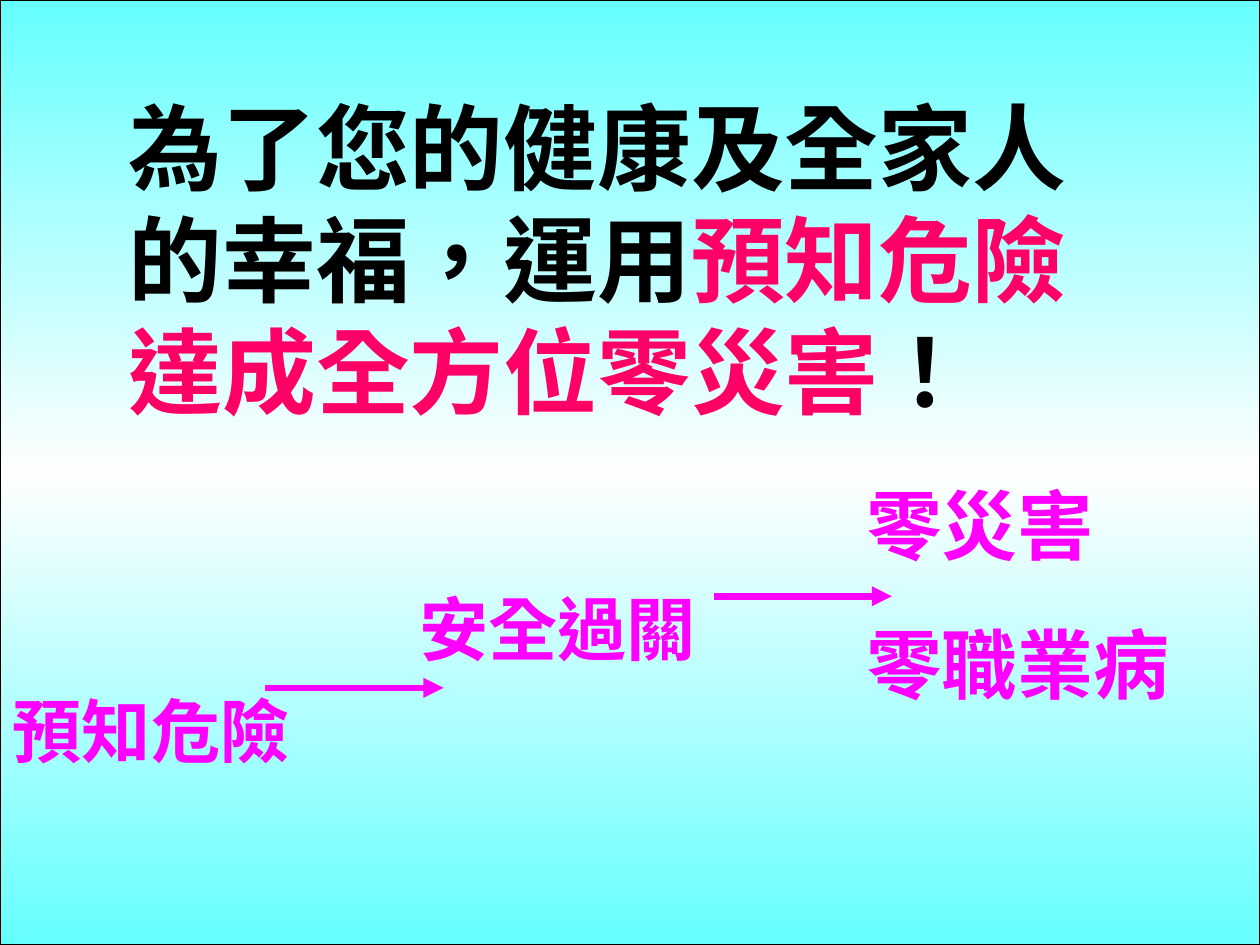
import copy

import pptx
import pptx.dml.color
import pptx.enum.shapes
import pptx.enum.text
import pptx.oxml.ns
import pptx.util
from lxml import etree

BLACK = pptx.dml.color.RGBColor(0x00, 0x00, 0x00)
CRIMSON = pptx.dml.color.RGBColor(0xFF, 0x00, 0x66)
MAGENTA = pptx.dml.color.RGBColor(0xFF, 0x00, 0xFF)
AQUA = pptx.dml.color.RGBColor(0x66, 0xFF, 0xFF)
NEAR_WHITE = pptx.dml.color.RGBColor(0xFE, 0xFE, 0xFE)

Inches, Pt, qn = pptx.util.Inches, pptx.util.Pt, pptx.oxml.ns.qn


def set_frame(frame):
    """Give a text frame the margins and wrapping shared by all text."""
    settings = {
        "margin_left": Inches(0.08), "margin_right": Inches(0.08),
        "margin_top": Inches(0.04), "margin_bottom": Inches(0.04),
        "word_wrap": True,
        "auto_size": pptx.enum.text.MSO_AUTO_SIZE.NONE,
        "vertical_anchor": pptx.enum.text.MSO_ANCHOR.TOP,
    }
    for name, value in settings.items():
        setattr(frame, name, value)


def add_words(paragraph, words, size, typeface, color):
    """Add a bold run of Traditional Chinese."""
    run = paragraph.add_run()
    run.text = words
    for name, value in {"size": Pt(size), "bold": True, "name": typeface}.items():
        setattr(run.font, name, value)
    run.font.color.rgb = color
    properties = run._r.get_or_add_rPr()
    properties.set("lang", "zh-TW")
    etree.SubElement(properties, qn("a:ea")).set("typeface", typeface)


deck = pptx.Presentation()
deck.slide_width, deck.slide_height = Inches(7.84), Inches(5.88)
slide = deck.slides.add_slide(deck.slide_layouts[5])

# Gradient backdrop with a thin border, behind everything
backdrop = slide.shapes.add_shape(
    pptx.enum.shapes.MSO_SHAPE.RECTANGLE, 0, 0, deck.slide_width, deck.slide_height)
backdrop.shadow.inherit = False
backdrop.line.color.rgb = BLACK
backdrop.line.width = Pt(0.75)
backdrop.fill.gradient()
backdrop.fill.gradient_angle = 270
for stop in backdrop.fill.gradient_stops:
    stop.color.rgb = AQUA
stop_list = backdrop._element.spPr.find(qn("a:gradFill")).find(qn("a:gsLst"))
stop_list.insert(1, copy.deepcopy(stop_list[0]))
for stop, position, color in zip(
        backdrop.fill.gradient_stops, (0, 0.5, 1), (AQUA, NEAR_WHITE, AQUA)):
    stop.position = position
    stop.color.rgb = color
slide.shapes._spTree.insert(2, backdrop._element)

# Headline
headline = slide.shapes.title
headline.left, headline.top = Inches(0.72), Inches(0.52)
headline.width, headline.height = Inches(6.49), Inches(2.18)
set_frame(headline.text_frame)
slogan = headline.text_frame.paragraphs[0]
slogan.alignment = pptx.enum.text.PP_ALIGN.LEFT
slogan.line_spacing = Pt(50.25)
for words, color in (
        ("為了您的健康及全家人的幸福，運用", BLACK),
        ("預知危險 達成全方位零災害", CRIMSON),
        ("！", BLACK)):
    add_words(slogan, words, 42, "Noto Sans CJK SC", color)

# Rising steps: left, top, width, height, text size, lines
steps = (
    (0, 4.24, 2.11, 0.6, 31, ("預知危險",)),
    (2.53, 3.61, 2.68, 0.6, 31, ("安全過關",)),
    (5.31, 2.94, 2.53, 2.37, 34, ("零災害", "零職業病")),
)
for left, top, width, height, size, lines in steps:
    step = slide.shapes.add_textbox(
        Inches(left), Inches(top), Inches(width), Inches(height)).text_frame
    set_frame(step)
    for number, words in enumerate(lines):
        paragraph = step.add_paragraph() if number else step.paragraphs[0]
        if number:
            paragraph.space_before = Pt(21.3)
        add_words(paragraph, words, size, "Arial", MAGENTA)

# Arrows between the steps
ARROW_LENGTH = 1.11
for left, top in ((1.65, 4.28), (4.44, 3.71)):
    arrow = slide.shapes.add_connector(
        pptx.enum.shapes.MSO_CONNECTOR.STRAIGHT,
        Inches(left), Inches(top), Inches(left + ARROW_LENGTH), Inches(top))
    arrow.line.color.rgb = MAGENTA
    arrow.line.width = Pt(3)
    etree.SubElement(arrow.line._get_or_add_ln(), qn("a:tailEnd")).set("type", "triangle")
    etree.SubElement(arrow._element.spPr, qn("a:effectLst"))

deck.save("out.pptx")
